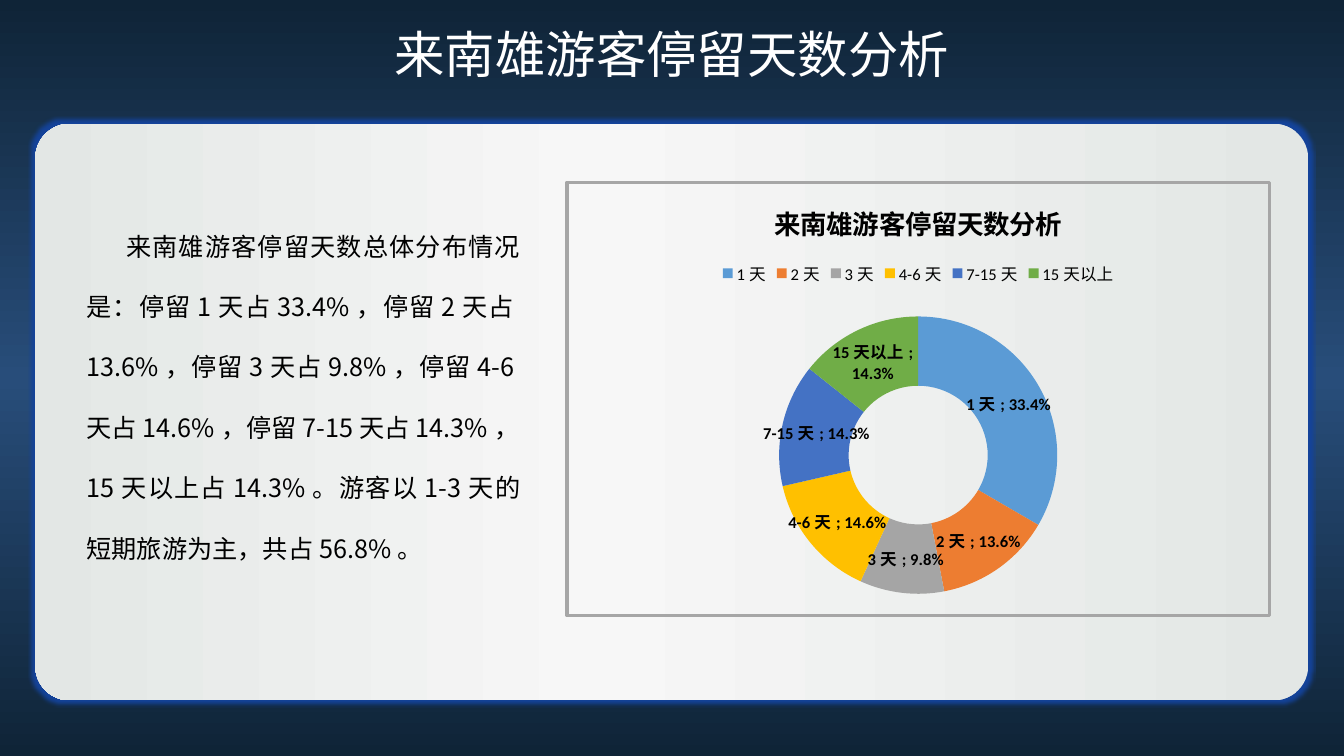
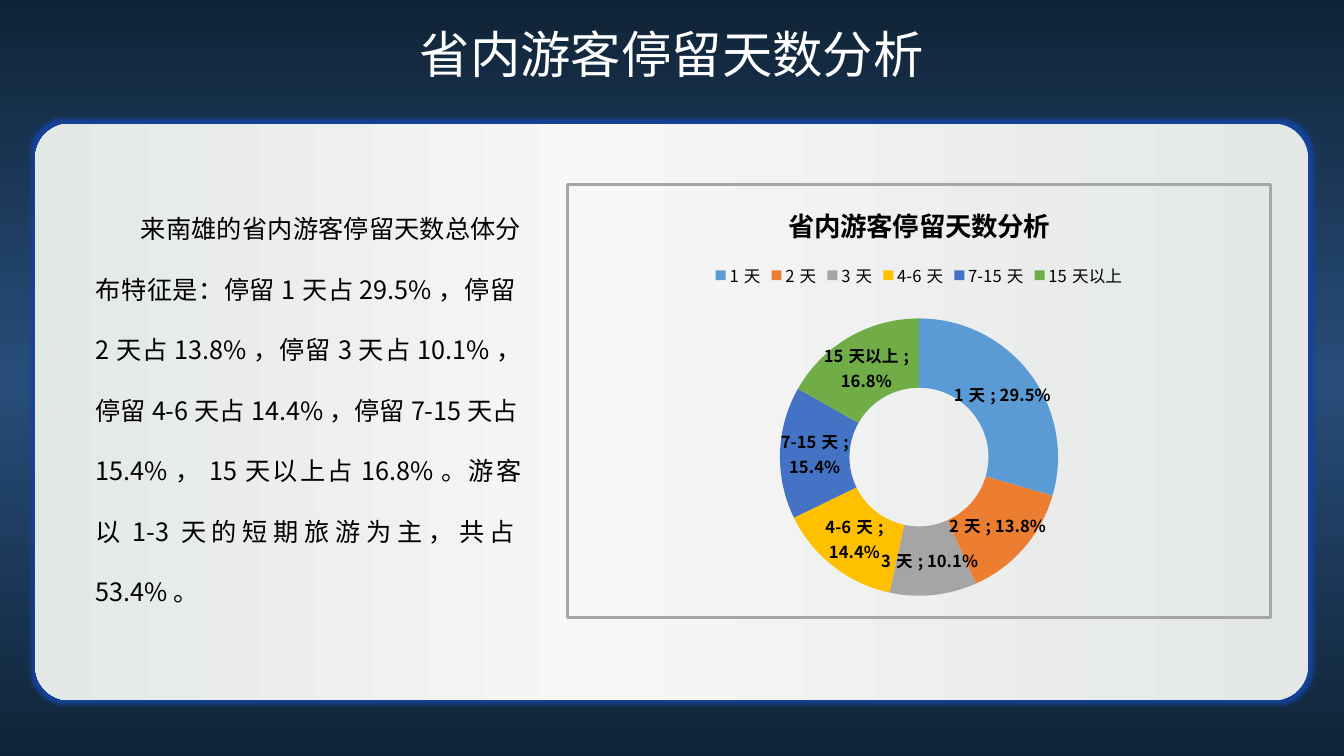
from pptx import Presentation
from pptx.chart.data import CategoryChartData
from pptx.dml.color import RGBColor
from pptx.enum.chart import XL_CHART_TYPE, XL_LEGEND_POSITION
from pptx.enum.shapes import MSO_SHAPE
from pptx.enum.text import MSO_ANCHOR, MSO_AUTO_SIZE, PP_ALIGN
from pptx.oxml import parse_xml
from pptx.oxml.ns import nsdecls, qn
from pptx.util import Cm, Pt

RING = XL_CHART_TYPE.DOUGHNUT
TOP = XL_LEGEND_POSITION.TOP
ROUND = MSO_SHAPE.ROUNDED_RECTANGLE
MIDDLE = MSO_ANCHOR.MIDDLE
GROW = MSO_AUTO_SIZE.SHAPE_TO_FIT_TEXT
FIXED = MSO_AUTO_SIZE.NONE
MID, FULL = PP_ALIGN.CENTER, PP_ALIGN.JUSTIFY

NAVY = RGBColor(0x0F, 0x24, 0x37)
BLUE = RGBColor(0x28, 0x4D, 0x7A)
MIST = RGBColor(0xE3, 0xE7, 0xE5)
PALE = RGBColor(0xF7, 0xF7, 0xF7)
GLOW = RGBColor(0x14, 0x43, 0x9A)
GRAY = RGBColor(0xA6, 0xA6, 0xA6)
WHITE = RGBColor(0xFF, 0xFF, 0xFF)
BLACK = RGBColor(0, 0, 0)
PARTS = [
    RGBColor(0x5B, 0x9B, 0xD5),
    RGBColor(0xED, 0x7D, 0x31),
    RGBColor(0xA5, 0xA5, 0xA5),
    RGBColor(0xFF, 0xC0, 0x00),
    RGBColor(0x44, 0x72, 0xC4),
    RGBColor(0x70, 0xAD, 0x47),
]

HAN = "Noto Sans CJK SC"
LATIN = "Calibri"
DAYS = ["1天", "2天", "3天", "4-6天", "7-15天", "15天以上"]


def assign(item, values):
    for name, value in values.items():
        setattr(item, name, value)


def style(font, color, **values):
    assign(font, values)
    font.color.rgb = color


def blend(fill, root, stops, angle):
    """Fill with a linear gradient of (percent, colour) stops."""
    fill.gradient()
    grad = next(root.iter(qn("a:gradFill")))
    rows = "".join(
        f'<a:gs pos="{spot * 1000}"><a:srgbClr val="{color}"/></a:gs>'
        for spot, color in stops
    )
    old = grad.find(qn("a:gsLst"))
    grad.replace(old, parse_xml(f'<a:gsLst {nsdecls("a")}>{rows}</a:gsLst>'))
    grad.find(qn("a:lin")).set("ang", str(angle * 60000))


class Deck:
    def __init__(self):
        self.prs = Presentation()
        self.prs.slide_width = Cm(33.87)
        self.prs.slide_height = Cm(19.05)
        self.slide = None

    def page(self, title):
        self.slide = self.prs.slides.add_slide(self.prs.slide_layouts[6])
        blend(self.slide.background.fill, self.slide.element,
              [(0, NAVY), (50, BLUE), (100, NAVY)], 90)
        self.panel()
        self.text(title, (4.37, 0.64, 25.12, 1.6), 36, WHITE,
                  {"vertical_anchor": MIDDLE, "auto_size": FIXED},
                  {"alignment": MID, "line_spacing": 0.9})

    def panel(self):
        box = self.slide.shapes.add_shape(
            ROUND, Cm(0.89), Cm(3.12), Cm(32.08), Cm(14.53))
        box.adjustments[0] = 0.06
        box.line.fill.background()
        blend(box.fill, box.element,
              [(0, MIST), (1, MIST), (56, PALE), (100, MIST)], 180)
        # Soft blue edge
        box.shadow.inherit = False
        next(box.element.iter(qn("a:effectLst"))).append(parse_xml(
            f'<a:glow {nsdecls("a")} rad="63500">'
            f'<a:srgbClr val="{GLOW}"/></a:glow>'))

    def text(self, words, spot, size, color, frame, para):
        box = self.slide.shapes.add_textbox(*map(Cm, spot))
        body = box.text_frame
        assign(body, {"word_wrap": True, **frame})
        line = body.paragraphs[0]
        assign(line, para)
        run = line.add_run()
        run.text = words
        style(run.font, color, size=Pt(size), name=HAN)
        for latin in box.element.iter(qn("a:latin")):
            latin.addnext(parse_xml(
                f'<a:ea {nsdecls("a")} typeface="{HAN}"/>'))
        return box

    def story(self, words, spot, indent):
        box = self.text(words, spot, 18, BLACK, {"auto_size": GROW},
                        {"alignment": FULL, "line_spacing": 2.0})
        next(box.element.iter(qn("a:pPr"))).set("indent", str(Cm(indent)))

    def ring(self, title, values, left, top, face):
        data = CategoryChartData(number_format="0.0%")
        data.categories = DAYS
        data.add_series("Series 1", values)
        chart = self.slide.shapes.add_chart(
            RING, Cm(left), Cm(top), Cm(17.78), Cm(11), data).chart
        style(chart.font, BLACK, size=Pt(10), name=face)

        # Heading and legend
        chart.has_title = True
        head = chart.chart_title.text_frame
        head.text = title
        style(head.paragraphs[0].runs[0].font, BLACK,
              size=Pt(19), bold=True, name=HAN)
        chart.has_legend = True
        assign(chart.legend, {"position": TOP, "include_in_layout": False})
        style(chart.legend.font, BLACK, size=Pt(11.9), name=face)

        # Slices and labels
        plot = chart.plots[0]
        plot.vary_by_categories = True
        series = plot.series[0]
        for index, color in enumerate(PARTS):
            look = series.points[index].format
            look.fill.solid()
            look.fill.fore_color.rgb = color
            look.line.fill.background()
        labels = series.data_labels
        assign(labels, {
            "show_value": True, "show_category_name": True,
            "show_percentage": False, "show_legend_key": False,
            "number_format": "0.0%", "number_format_is_linked": False,
        })
        style(labels.font, BLACK, size=Pt(11.9), bold=True, name=face)
        self.trim(chart.element)

    def trim(self, root):
        """Set label separator, ring place and chart border."""
        labels = next(root.iter(qn("c:dLbls")))
        labels.find(qn("c:showBubbleSize")).addnext(parse_xml(
            f'<c:separator {nsdecls("c")}>; </c:separator>'))
        area = next(root.iter(qn("c:plotArea")))
        for old in area.findall(qn("c:layout")):
            area.remove(old)
        place = {"x": 0.3, "y": 0.31, "w": 0.4, "h": 0.64}
        sides = "".join(f'<c:{k} val="{v}"/>' for k, v in place.items())
        area.insert(0, parse_xml(
            f'<c:layout {nsdecls("c")}><c:manualLayout>'
            '<c:layoutTarget val="inner"/>'
            '<c:xMode val="edge"/><c:yMode val="edge"/>'
            f'{sides}</c:manualLayout></c:layout>'))
        root.find(qn("c:chart")).addnext(parse_xml(
            f'<c:spPr {nsdecls("c", "a")}><a:noFill/>'
            f'<a:ln w="{Pt(2.25)}"><a:solidFill><a:srgbClr val="{GRAY}"/>'
            '</a:solidFill></a:ln></c:spPr>'))


def main():
    deck = Deck()

    # All visitors
    title = "来南雄游客停留天数分析"
    deck.page(title)
    deck.story(
        "来南雄游客停留天数总体分布情况是：停留1天占33.4%，停留2天占13.6%，"
        "停留3天占9.8%，停留4-6天占14.6%，停留7-15天占14.3%，"
        "15天以上占14.3%。游客以1-3天的短期旅游为主，共占56.8%。",
        (1.93, 4.93, 11.43, 9.5), 1)
    deck.ring(title, [0.334, 0.136, 0.098, 0.146, 0.143, 0.143],
              14.25, 4.55, LATIN)

    # Visitors from the province
    title = "省内游客停留天数分析"
    deck.page(title)
    deck.story(
        "来南雄的省内游客停留天数总体分布特征是：停留1天占29.5%，"
        "停留2天占13.8%，停留3天占10.1%，停留4-6天占14.4%，"
        "停留7-15天占15.4%，15天以上占16.8%。"
        "游客以1-3天的短期旅游为主，共占53.4%。",
        (2.16, 4.5, 11.23, 11.02), 1.14)
    deck.ring(title, [0.295, 0.138, 0.101, 0.144, 0.154, 0.168],
              14.27, 4.6, HAN)

    deck.prs.save("out.pptx")


if __name__ == "__main__":
    main()
